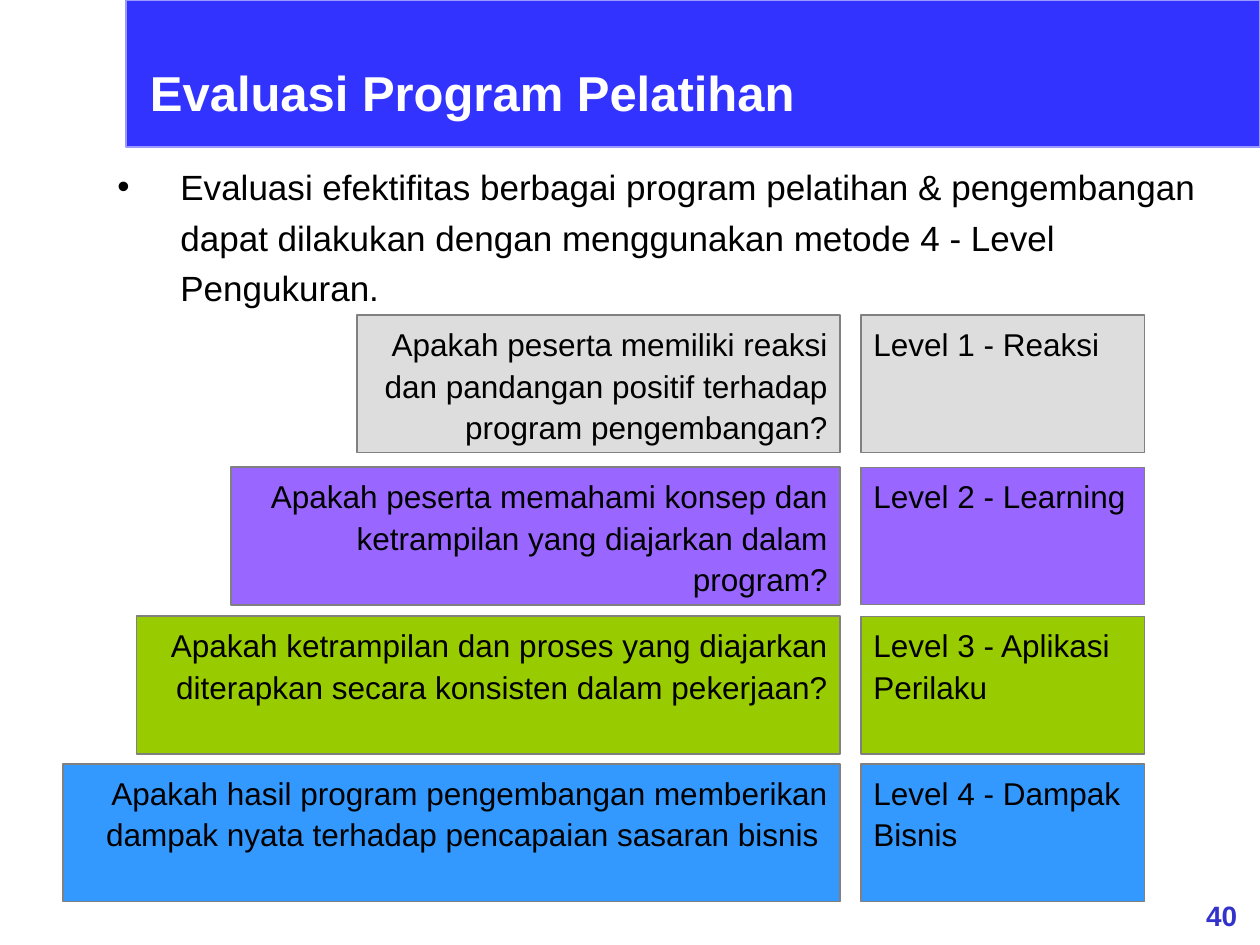
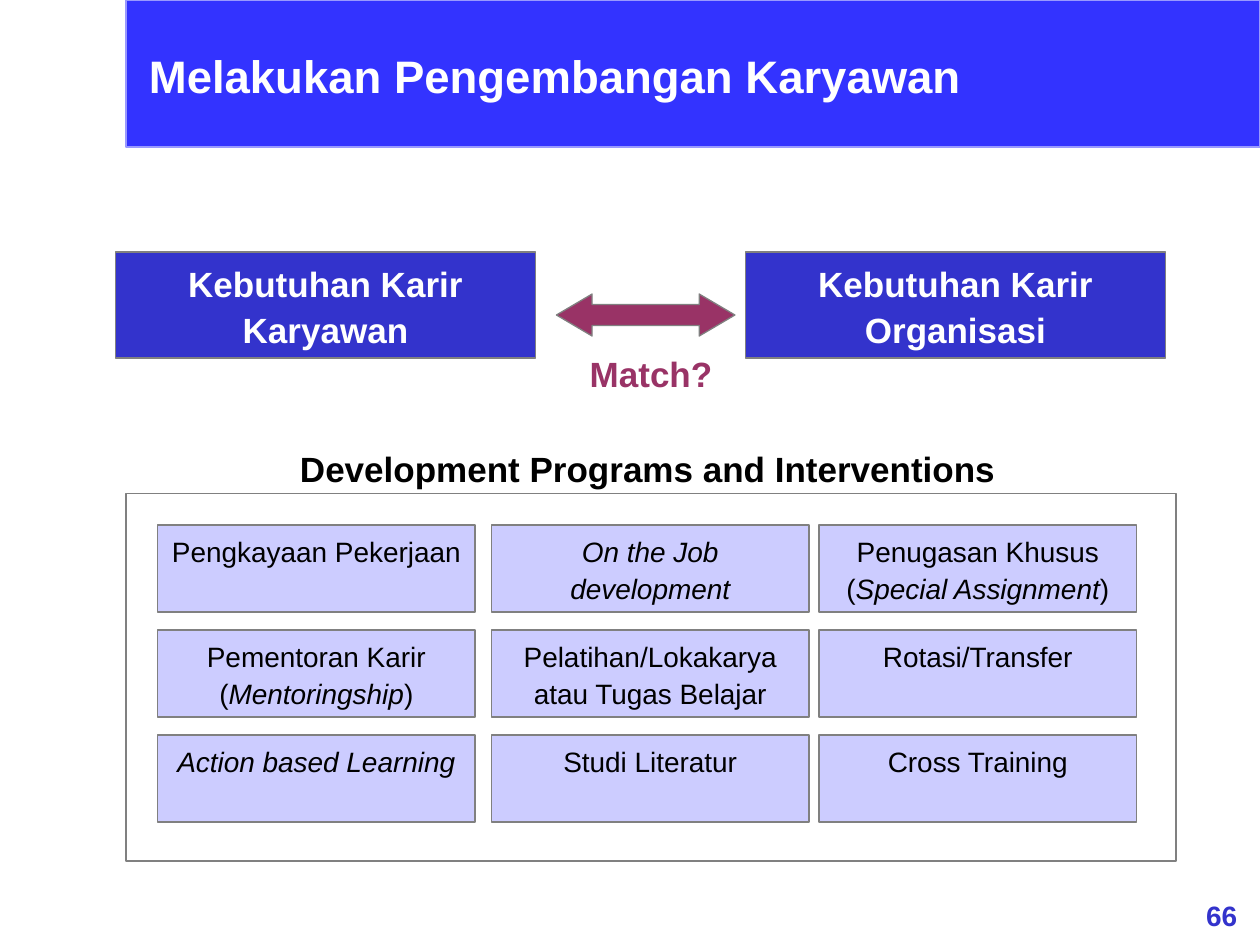
from pptx import Presentation
from pptx.dml.color import RGBColor
from pptx.enum.shapes import MSO_SHAPE as Shape
from pptx.enum.text import MSO_ANCHOR as Anchor, PP_ALIGN as Align
from pptx.oxml import parse_xml
from pptx.oxml.ns import nsdecls
from pptx.util import Inches, Pt

# The slide is a grid of 120 columns and 90 rows
COLUMNS, ROWS = 120, 90
SLIDE_WIDTH, SLIDE_HEIGHT = Inches(10), Inches(7.5)
FONT = "Arial"
COLORS = {
    "band": "3333FF", "band_line": "9999FF", "navy": "3333CC",
    "white": "FFFFFF", "black": "000000", "outline": "808080",
    "gray": "DDDDDD", "purple": "9966FF", "green": "99CC00",
    "blue": "3399FF", "plum": "993366", "lavender": "CCCCFF",
}

# Question's left column, top row, colour, question, level
QUESTIONS_RIGHT = 80
LEVEL_HEIGHT = 13.1
LEVELS = [
    (34, 30, "gray", "Apakah peserta memiliki reaksi dan pandangan positif "
     "terhadap program pengembangan?", "Level 1 - Reaksi"),
    (22, 44.5, "purple", "Apakah peserta memahami konsep dan ketrampilan yang "
     "diajarkan dalam program?", "Level 2 - Learning"),
    (13, 58.7, "green", "Apakah ketrampilan dan proses yang diajarkan "
     "diterapkan secara konsisten dalam pekerjaan?",
     "Level 3 - Aplikasi Perilaku"),
    (6, 72.75, "blue", "Apakah hasil program pengembangan memberikan dampak "
     "nyata terhadap pencapaian sasaran bisnis ", "Level 4 - Dampak Bisnis"),
]

# Asterisks enclose italic words
PROGRAM_LEFTS = (15, 46.8, 78)
PROGRAMS = [
    ["Pengkayaan Pekerjaan", "*On the Job development*",
     "Penugasan Khusus (*Special Assignment*)"],
    ["Pementoran Karir (*Mentoringship*)",
     "Pelatihan/Lokakarya atau Tugas Belajar", "Rotasi/Transfer"],
    ["*Action based Learning*", "Studi Literatur", "Cross Training"],
]


def color(name):
    return RGBColor.from_string(COLORS[name])


def place(left, top, width, height):
    """Turn grid columns and rows into slide lengths."""
    across, down = SLIDE_WIDTH / COLUMNS, SLIDE_HEIGHT / ROWS
    return (round(left * across), round(top * down),
            round(width * across), round(height * down))


def add_bullet(para):
    properties = para._p.get_or_add_pPr()
    properties.set("marL", str(Inches(0.5)))
    properties.set("indent", str(-Inches(0.5)))
    for tag in (f'buFont {nsdecls("a")} typeface="{FONT}"',
                f'buChar {nsdecls("a")} char="•"'):
        properties.append(parse_xml(f"<a:{tag}/>"))


def write(shape, text, size, ink="black", bold=False, align=Align.LEFT,
          spacing=None, bullet=False):
    frame = shape.text_frame
    frame.word_wrap = True
    frame.vertical_anchor = Anchor.TOP
    para = frame.paragraphs[0]
    para.alignment = align
    if spacing:
        para.line_spacing = spacing
    if bullet:
        add_bullet(para)
    for index, words in enumerate(text.split("*")):
        if words:
            span = para.add_run()
            span.text = words
            span.font.name = FONT
            span.font.size = Pt(size)
            span.font.bold = bold
            span.font.italic = index % 2 == 1
            span.font.color.rgb = color(ink)


def add_label(page, area, text, size, **style):
    box = page.shapes.add_textbox(*place(*area))
    write(box, text, size, **style)


def add_figure(page, area, fill=None, line="outline", weight=0.75,
               kind=Shape.RECTANGLE):
    figure = page.shapes.add_shape(kind, *place(*area))
    figure.shadow.inherit = False
    if fill:
        figure.fill.solid()
        figure.fill.fore_color.rgb = color(fill)
    else:
        figure.fill.background()
    figure.line.color.rgb = color(line)
    figure.line.width = Pt(weight)
    return figure


def add_page(deck, number):
    """Start a page with the shared band and page number."""
    page = deck.slides.add_slide(deck.slide_layouts[6])
    add_figure(page, (12, 0, 108, 14), "band", "band_line")
    add_label(page, (112.7, 85, 7.3, 4.4), number, 16, ink="navy", bold=True,
              align=Align.CENTER)
    return page


def add_title(page, area, text, size):
    add_label(page, area, text, size, ink="white", bold=True)


def build_evaluation(deck):
    page = add_page(deck, "40")
    add_title(page, (13.1, 5.35, 96, 6.8), "Evaluasi Program Pelatihan", 28)
    add_label(page, (10, 14.4, 107, 15.6),
              "Evaluasi efektifitas berbagai program pelatihan & pengembangan "
              "dapat dilakukan dengan menggunakan metode 4 - Level Pengukuran.",
              20, spacing=1.2, bullet=True)
    # Stair of questions beside their levels
    for left, top, fill, question, level in LEVELS:
        box = add_figure(page, (left, top, QUESTIONS_RIGHT - left,
                                LEVEL_HEIGHT), fill, weight=1)
        write(box, question, 18, align=Align.RIGHT, spacing=1.1)
        box = add_figure(page, (82, top, 27, LEVEL_HEIGHT), fill)
        write(box, level, 18, spacing=1.1)


def build_development(deck):
    page = add_page(deck, "66")
    add_title(page, (13, 4, 96, 6.5), "Melakukan Pengembangan Karyawan", 26)
    # Career needs and the match between them
    for left, owner in ((11, "Karyawan"), (71, "Organisasi")):
        box = add_figure(page, (left, 24, 40, 10.1), "navy")
        write(box, f"Kebutuhan Karir {owner}", 20, ink="white", bold=True,
              align=Align.CENTER, spacing=1.1)
    arrow = add_figure(page, (53, 28, 17, 4), "plum",
                       kind=Shape.LEFT_RIGHT_ARROW)
    arrow.adjustments[0] = 0.5
    arrow.adjustments[1] = 0.85
    add_label(page, (54, 33, 16, 5.3), "Match?", 20, ink="plum", bold=True,
              align=Align.CENTER)
    # Framed grid of programs
    add_figure(page, (12, 47, 100, 35))
    add_label(page, (26.2, 42, 71, 5.3),
              "Development Programs and Interventions", 20, bold=True,
              align=Align.CENTER)
    for row, programs in enumerate(PROGRAMS):
        for left, program in zip(PROGRAM_LEFTS, programs):
            box = add_figure(page, (left, 50 + 10 * row, 30.25, 8.3),
                             "lavender")
            write(box, program, 16, align=Align.CENTER, spacing=1.1)


def main():
    deck = Presentation()
    deck.slide_width, deck.slide_height = SLIDE_WIDTH, SLIDE_HEIGHT
    build_evaluation(deck)
    build_development(deck)
    deck.save("out.pptx")


if __name__ == "__main__":
    main()
